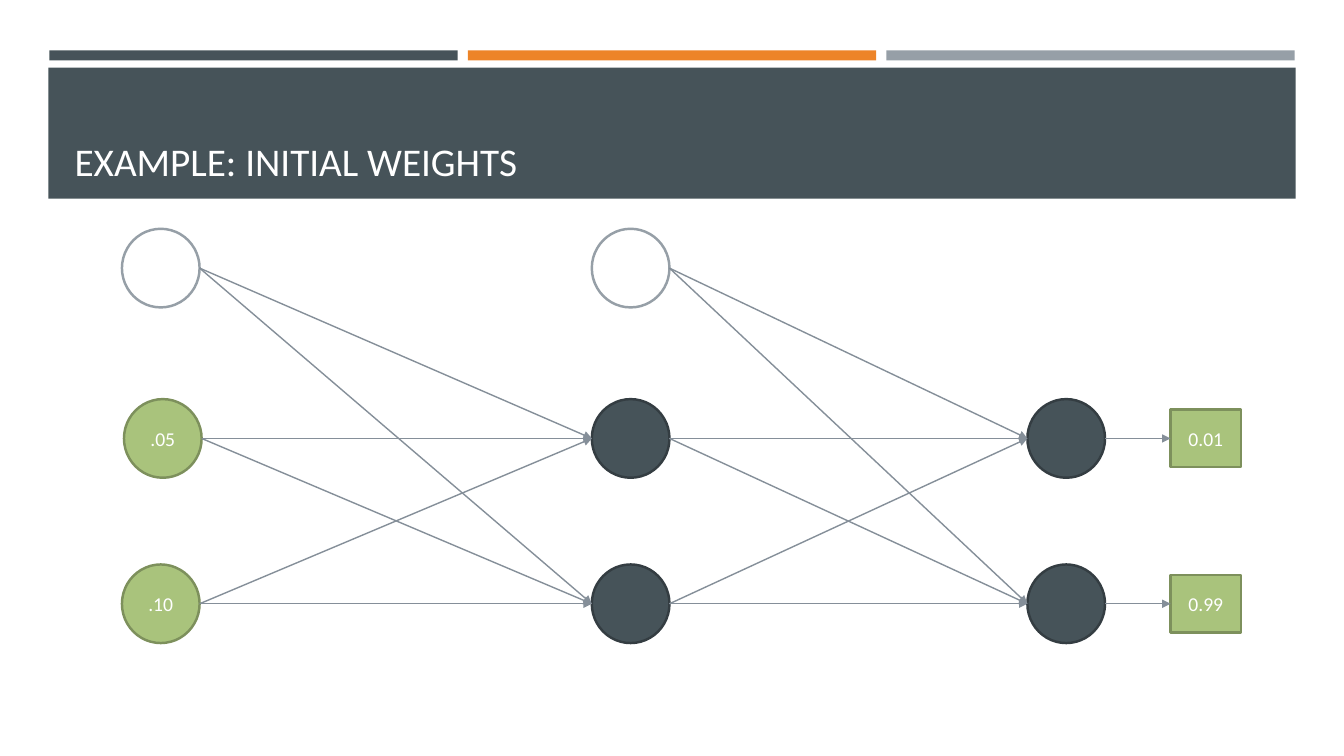
"""Build a slide that shows a small neural network before training."""
from dataclasses import dataclass
from itertools import product

from lxml import etree
from pptx import Presentation
from pptx.dml.color import RGBColor
from pptx.enum.shapes import MSO_CONNECTOR, MSO_SHAPE
from pptx.enum.text import MSO_ANCHOR, MSO_AUTO_SIZE, PP_ALIGN
from pptx.oxml.ns import qn
from pptx.util import Inches, Pt

RECTANGLE = MSO_SHAPE.RECTANGLE
OVAL = MSO_SHAPE.OVAL
STRAIGHT = MSO_CONNECTOR.STRAIGHT
MIDDLE = MSO_ANCHOR.MIDDLE
BOTTOM = MSO_ANCHOR.BOTTOM
NO_AUTOFIT = MSO_AUTO_SIZE.NONE
CENTER = PP_ALIGN.CENTER
LEFT = PP_ALIGN.LEFT

WHITE = RGBColor(0xFF, 0xFF, 0xFF)
SLATE = RGBColor(0x46, 0x53, 0x59)
DARK_SLATE = RGBColor(0x34, 0x3D, 0x42)
ORANGE = RGBColor(0xED, 0x84, 0x28)
GRAY = RGBColor(0x96, 0x9F, 0xA7)
ARROW_GRAY = RGBColor(0x85, 0x8F, 0x99)
GREEN = RGBColor(0xA9, 0xC3, 0x7C)
DARK_GREEN = RGBColor(0x7D, 0x90, 0x5C)

FONT = "Calibri"
TITLE_ONLY = 5
BIAS_ROW, FIRST_ROW, SECOND_ROW = 2.66, 4.35, 5.99
INPUT_X, HIDDEN_X, OUTPUT_X, TARGET_X = 1.21, 5.87, 10.19, 11.61


@dataclass(frozen=True)
class Style:
    """Outline, size and colours of one kind of node."""
    shape: MSO_SHAPE
    width: float
    height: float
    fill: RGBColor
    line: RGBColor


@dataclass(frozen=True)
class Node:
    """A node placed by its left edge and its vertical middle."""
    left: float
    middle: float
    style: Style
    label: str = ""

    @property
    def right(self) -> float:
        """Return the right edge."""
        return self.left + self.style.width


BIAS = Style(OVAL, 0.77, 0.78, WHITE, GRAY)
INPUT = Style(OVAL, 0.77, 0.78, GREEN, DARK_GREEN)
NEURON = Style(OVAL, 0.77, 0.78, SLATE, DARK_SLATE)
TARGET = Style(RECTANGLE, 0.7, 0.57, GREEN, DARK_GREEN)

INPUTS = [
    Node(INPUT_X, BIAS_ROW, BIAS),
    Node(INPUT_X + 0.02, FIRST_ROW, INPUT, ".05"),
    Node(INPUT_X, SECOND_ROW, INPUT, ".10"),
]
HIDDEN_BIAS = Node(HIDDEN_X, BIAS_ROW, BIAS)
HIDDEN = [Node(HIDDEN_X, row, NEURON) for row in (FIRST_ROW, SECOND_ROW)]
OUTPUTS = [Node(OUTPUT_X, row, NEURON) for row in (FIRST_ROW, SECOND_ROW)]
TARGETS = [
    Node(TARGET_X, FIRST_ROW, TARGET, "0.01"),
    Node(TARGET_X, SECOND_ROW, TARGET, "0.99"),
]


def add_band(page, left: float, top: float, width: float, height: float,
             color: RGBColor) -> None:
    """Draw a plain coloured band of the header."""
    band = page.shapes.add_shape(
        RECTANGLE, Inches(left), Inches(top), Inches(width), Inches(height))
    band.shadow.inherit = False
    band.fill.solid()
    band.fill.fore_color.rgb = color
    band.line.fill.background()


def add_title(page, text: str) -> None:
    """Place the title in front of the header band."""
    title = page.shapes.title
    title.left, title.top = Inches(0.64), Inches(0.77)
    title.width, title.height = Inches(12.06), Inches(1.11)
    page.shapes.element.append(title.element)
    frame = title.text_frame
    frame.text = text
    frame.auto_size = NO_AUTOFIT
    frame.vertical_anchor = BOTTOM
    para = frame.paragraphs[0]
    para.alignment = LEFT
    para.font.name = FONT
    para.font.size = Pt(28)
    para.font.color.rgb = WHITE


def add_node(page, node: Node) -> None:
    """Draw a node with its label, if it has one."""
    style = node.style
    shape = page.shapes.add_shape(
        style.shape, Inches(node.left), Inches(node.middle - style.height / 2),
        Inches(style.width), Inches(style.height))
    shape.shadow.inherit = False
    shape.fill.solid()
    shape.fill.fore_color.rgb = style.fill
    shape.line.color.rgb = style.line
    shape.line.width = Pt(1.75)
    if node.label:
        frame = shape.text_frame
        frame.text = node.label
        frame.vertical_anchor = MIDDLE
        para = frame.paragraphs[0]
        para.alignment = CENTER
        para.font.name = FONT
        para.font.size = Pt(14)
        para.font.color.rgb = WHITE


def add_arrow(page, source: Node, target: Node) -> None:
    """Draw an arrow from the right of one node to the left of another."""
    arrow = page.shapes.add_connector(
        STRAIGHT, Inches(source.right), Inches(source.middle),
        Inches(target.left), Inches(target.middle))
    arrow.line.color.rgb = ARROW_GRAY
    arrow.line.width = Pt(1)
    properties = arrow.element.spPr
    outline = properties.find(qn("a:ln"))
    etree.SubElement(outline, qn("a:tailEnd"), type="triangle")
    etree.SubElement(properties, qn("a:effectLst"))


def main() -> None:
    """Build and save the slide."""
    deck = Presentation()
    deck.slide_width, deck.slide_height = Inches(13.33), Inches(7.5)
    page = deck.slides.add_slide(deck.slide_layouts[TITLE_ONLY])
    for index, color in enumerate((SLATE, ORANGE, GRAY)):
        add_band(page, 0.49 + 4.15 * index, 0.5, 4.05, 0.1, color)
    add_band(page, 0.48, 0.67, 12.37, 1.3, SLATE)
    add_title(page, "EXAMPLE: INITIAL WEIGHTS")
    for node in [*INPUTS, HIDDEN_BIAS, *HIDDEN, *OUTPUTS, *TARGETS]:
        add_node(page, node)
    links = [*product(INPUTS, HIDDEN),
             *product([HIDDEN_BIAS, *HIDDEN], OUTPUTS),
             *zip(OUTPUTS, TARGETS)]
    for source, target in links:
        add_arrow(page, source, target)
    deck.save("out.pptx")


if __name__ == "__main__":
    main()
